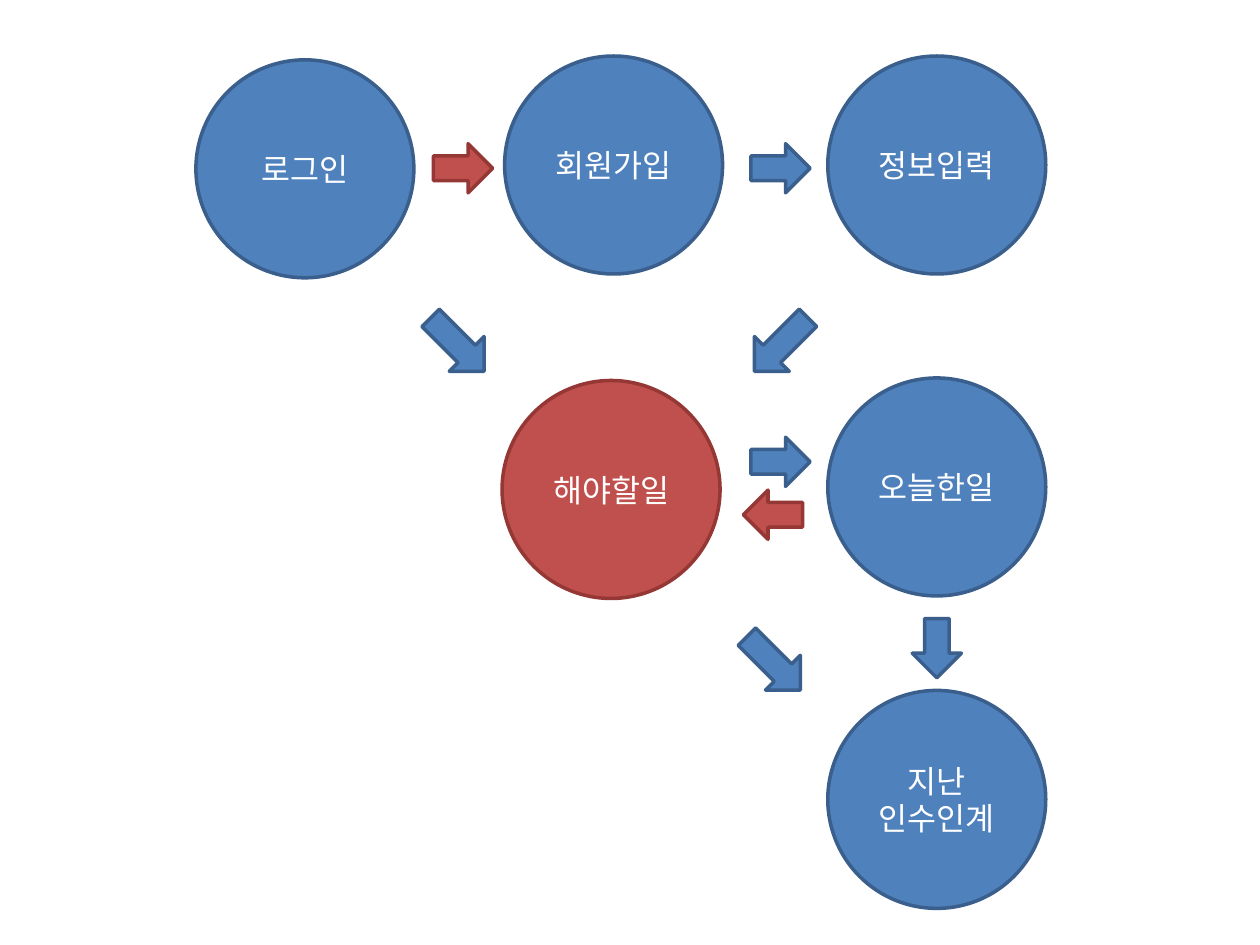
import pptx
import pptx.util
import pptx.dml.color
import pptx.enum.shapes
import pptx.enum.text
import pptx.oxml.ns
import lxml.etree

FONT = "Noto Sans CJK KR"
BLUE = ("4F81BD", "3A5F8C")  # fill, line
RED = ("C0504D", "953735")
SIZE = 1.73  # circle diameter
THICK = 0.39  # arrow height
SHORT, LONG = 0.47, 0.6  # arrow lengths

# Grid of circle centres, in inches
COLS = (2.42, 4.86, 7.435)
ROWS = (1.32, 3.875, 6.345)

# Text, column, row, nudge x, nudge y, colours
STEPS = [
    ("로그인", 0, 0, 0, 0.02, BLUE),
    ("회원가입", 1, 0, 0.01, -0.01, BLUE),
    ("정보입력", 2, 0, 0, -0.01, BLUE),
    ("해야할일", 1, 1, -0.01, 0.01, RED),
    ("오늘한일", 2, 1, 0, -0.01, BLUE),
    ("지난\n인수인계", 2, 2, 0, 0, BLUE),
]

# Centre x, centre y, length, turn, colours
ARROWS = [
    (3.675, 1.335, SHORT, 0, RED),
    (6.195, 1.335, SHORT, 0, BLUE),
    (3.63, 2.735, LONG, 45, BLUE),
    (6.2, 2.735, LONG, 135, BLUE),
    (6.195, 3.665, SHORT, 0, BLUE),
    (6.135, 4.085, SHORT, 180, RED),
    (6.14, 5.265, LONG, 45, BLUE),
    (7.435, 5.145, SHORT, 90, BLUE),
]

KIND = pptx.enum.shapes.MSO_SHAPE
inch = pptx.util.Inches


def rgb(code):
    return pptx.dml.color.RGBColor.from_string(code)


def draw(slide, kind, x, y, wide, high, tint, turn=0):
    """Add a shape centred on x, y."""
    shape = slide.shapes.add_shape(
        kind, inch(x - wide / 2), inch(y - high / 2), inch(wide), inch(high))
    shape.rotation = turn
    shape.shadow.inherit = False
    shape.fill.solid()
    shape.fill.fore_color.rgb = rgb(tint[0])
    shape.line.color.rgb = rgb(tint[1])
    shape.line.width = pptx.util.Pt(2)
    return shape


def write(shape, text, size=18, color="FFFFFF", font=FONT):
    frame = shape.text_frame
    frame.word_wrap = True
    frame.vertical_anchor = pptx.enum.text.MSO_ANCHOR.MIDDLE
    frame.text = text
    for para in frame.paragraphs:
        para.alignment = pptx.enum.text.PP_ALIGN.CENTER
        for run in para.runs:
            run.font.size = pptx.util.Pt(size)
            run.font.color.rgb = rgb(color)
            run.font.name = font
            # Korean letters take the East Asian typeface
            lxml.etree.SubElement(run._r.get_or_add_rPr(),
                                  pptx.oxml.ns.qn("a:ea"), typeface=font)


def main():
    deck = pptx.Presentation()
    deck.slide_width, deck.slide_height = inch(10), inch(7.5)
    slide = deck.slides.add_slide(deck.slide_layouts[6])

    # Steps
    for text, col, row, dx, dy, tint in STEPS:
        disc = draw(slide, KIND.OVAL, COLS[col] + dx, ROWS[row] + dy,
                    SIZE, SIZE, tint)
        write(disc, text)

    # Arrows between steps
    for x, y, wide, turn, tint in ARROWS:
        draw(slide, KIND.RIGHT_ARROW, x, y, wide, THICK, tint, turn)

    deck.save("out.pptx")


if __name__ == "__main__":
    main()
